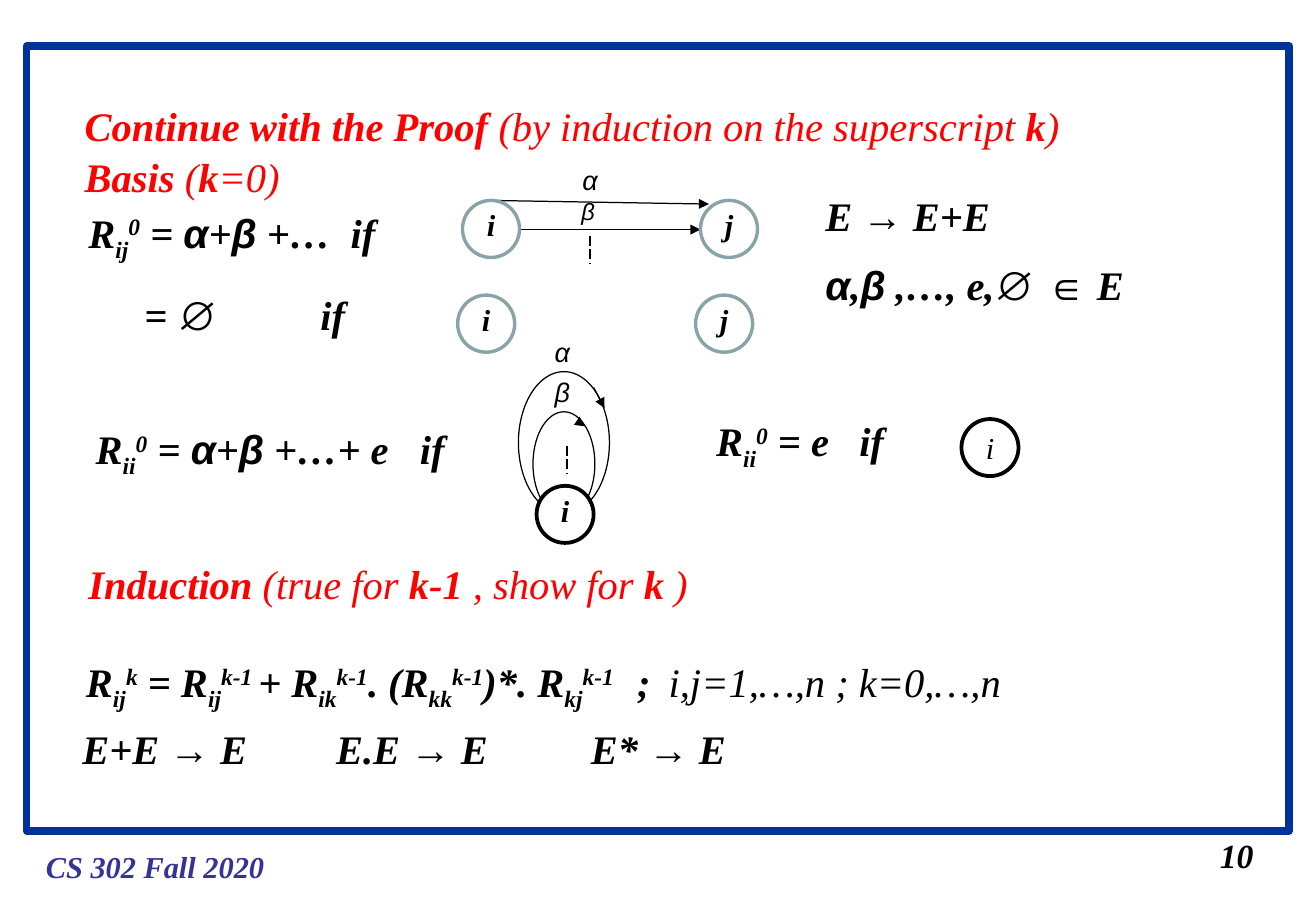
from lxml import etree
from pptx import Presentation
from pptx.dml.color import RGBColor
from pptx.enum.dml import MSO_LINE
from pptx.enum.shapes import MSO_CONNECTOR, MSO_SHAPE
from pptx.enum.text import MSO_ANCHOR, PP_ALIGN
from pptx.oxml.ns import qn
from pptx.util import Inches, Pt

RECT, OVAL = MSO_SHAPE.RECTANGLE, MSO_SHAPE.OVAL
STRAIGHT, DASH = MSO_CONNECTOR.STRAIGHT, MSO_LINE.LONG_DASH
CENTER, MIDDLE = PP_ALIGN.CENTER, MSO_ANCHOR.MIDDLE
BLACK = RGBColor(0x00, 0x00, 0x00)
WHITE = RGBColor(0xFF, 0xFF, 0xFF)
RED = RGBColor(0xFF, 0x00, 0x00)
NAVY = RGBColor(0x00, 0x33, 0x99)
INDIGO = RGBColor(0x33, 0x33, 0x99)
GRAY = RGBColor(0x89, 0xA4, 0xA7)
SUB, SUP = {"baseline": "-25000"}, {"baseline": "30000"}
ARIAL, LIGHT = {"name": "Arial"}, {"bold": False}
ALPHA, BETA, ARROW = ("α", ARIAL), ("β", ARIAL), ("→", ARIAL)
NODE = 0.47


def power(base, low, high):
    return [base, (low, SUB), (high, SUP)]


class ProofSlide:
    """Draw the elements of the proof in one style on one slide."""

    def __init__(self, slide):
        self.shapes = slide.shapes
        self.style = {"name": "Times New Roman", "size": Pt(24), "bold": True, "italic": True}

    def add_runs(self, paragraph, runs, color=BLACK, **changes):
        for item in runs:
            words, own = (item, {}) if isinstance(item, str) else item
            run = paragraph.add_run()
            run.text = words
            run.font.color.rgb = color
            for key, value in {**self.style, **changes, **own}.items():
                if key == "baseline":
                    run._r.get_or_add_rPr().set(key, value)
                else:
                    setattr(run.font, key, value)

    def text(self, left, top, width, height, runs, color=BLACK, spacing=None, tabs=(), **changes):
        box = self.shapes.add_textbox(Inches(left), Inches(top), Inches(width), Inches(height))
        box.text_frame.word_wrap = True
        paragraph = box.text_frame.paragraphs[0]
        paragraph.line_spacing = spacing
        if tabs:
            stops = etree.SubElement(paragraph._p.get_or_add_pPr(), qn("a:tabLst"))
            for stop in tabs:
                etree.SubElement(stops, qn("a:tab"), pos=str(Inches(stop)), algn="l")
        self.add_runs(paragraph, runs, color, **changes)

    def outline(self, kind, left, top, width, height, color, weight, fill=None):
        shape = self.shapes.add_shape(
            kind, Inches(left), Inches(top), Inches(width), Inches(height))
        shape.shadow.inherit = False
        if fill is None:
            shape.fill.background()
        else:
            shape.fill.solid()
            shape.fill.fore_color.rgb = fill
        shape.line.color.rgb = color
        shape.line.width = Pt(weight)
        return shape

    def node(self, left, top, label, color=GRAY, weight=2, lift=0.07, **changes):
        frame = self.outline(OVAL, left, top, NODE, NODE, color, weight, WHITE).text_frame
        margins = {"margin_left": 0, "margin_right": 0, "margin_top": 0,
                   "margin_bottom": Inches(lift), "vertical_anchor": MIDDLE, "word_wrap": False}
        for key, value in margins.items():
            setattr(frame, key, value)
        frame.paragraphs[0].alignment = CENTER
        self.add_runs(frame.paragraphs[0], [label], size=Pt(18), **changes)

    def line(self, x1, y1, x2, y2, dashed=False):
        link = self.shapes.add_connector(
            STRAIGHT, Inches(x1), Inches(y1), Inches(x2), Inches(y2))
        link.line.color.rgb = BLACK
        link.line.width = Pt(0.75)
        if dashed:
            link.line.dash_style = DASH
        else:
            etree.SubElement(link._element.spPr.get_or_add_ln(), qn("a:tailEnd"), type="triangle")
        etree.SubElement(link._element.spPr, qn("a:effectLst"))

    def symbol(self, left, top, letter, size=16):
        self.text(left, top, 0.4, 0.37, [letter], name="Arial", size=Pt(size), bold=False)


def main():
    deck = Presentation()
    deck.slide_width, deck.slide_height = Inches(10.84), Inches(7.5)
    proof = ProofSlide(deck.slides.add_slide(deck.slide_layouts[6]))

    proof.outline(RECT, 0.22, 0.38, 10.4, 6.46, NAVY, 4.5)
    proof.text(0.28, 6.93, 2.2, 0.4, ["CS 302 Fall 2020"], INDIGO, size=Pt(18))
    proof.text(9.95, 6.82, 0.6, 0.44, ["10"], size=Pt(20))

    proof.text(0.6, 0.58, 8.9, 0.7,
               ["Continue with the Proof ", ("(by induction on the superscript ", LIGHT),
                "k", (")", LIGHT)], RED, spacing=1.5)
    proof.text(0.6, 1.2, 2, 0.5, ["Basis ", ("(", LIGHT), "k", ("=0)", LIGHT)], RED)
    proof.text(0.63, 1.66, 2.96, 0.56,
               power("R", "ij", "0") + [" = ", ALPHA, "+", BETA, " +…\tif"], tabs=[2.16])
    proof.text(1.09, 2.34, 2.69, 0.5, ["= ", ("∅", ARIAL), "\tif"], tabs=[1.45])

    proof.line(4.04, 1.65, 5.84, 1.68)
    proof.line(4.28, 1.89, 5.77, 1.89)
    for left, top in ((3.81, 1.65), (3.77, 2.43)):
        proof.node(left, top, "i")
        proof.node(left + 1.96, top, "j")
    proof.symbol(4.7, 1.3, "α")
    proof.symbol(4.69, 1.57, "β", 14)
    proof.line(4.86, 1.94, 4.86, 2.17, dashed=True)

    proof.text(0.69, 3.44, 3.46, 0.56,
               power("R", "ii", "0") + [" = ", ALPHA, "+", BETA, " +…+ e\tif"], tabs=[2.67])
    proof.text(5.8, 3.38, 2, 0.56, power("R", "ii", "0") + [" = e\tif"], tabs=[1.18])
    proof.node(7.92, 3.45, "i", BLACK, 2.25, lift=0, bold=False)

    proof.symbol(4.47, 2.71, "α")
    proof.line(4.67, 3.67, 4.67, 3.9, dashed=True)
    proof.outline(OVAL, 4.27, 3.06, 0.75, 1.17, BLACK, 0.75)
    proof.outline(OVAL, 4.39, 3.39, 0.51, 0.86, BLACK, 0.75)
    proof.node(4.42, 4, "i", BLACK, 2.25)
    proof.symbol(4.47, 3.04, "β")
    proof.line(4.89, 3.19, 4.98, 3.36)
    proof.line(4.79, 3.49, 4.82, 3.51)

    proof.text(6.7, 1.52, 1.7, 0.5, ["E ", ARROW, " E+E"])
    proof.text(6.7, 2.09, 3.15, 0.5,
               [ALPHA, ",", BETA, " ,…, e,", ("∅ ∈", ARIAL), " E"])

    proof.text(0.63, 4.55, 5.4, 0.5,
               ["Induction ", ("(true for ", LIGHT), "k-1", (" , show for ", LIGHT),
                "k", (" )", LIGHT)], RED)
    formula = (power("R", "ij", "k") + power(" = R", "ij", "k-1 ") + power("+ R", "ik", "k-1")
               + power(". (R", "kk", "k-1") + power(")*. R", "kj", "k-1")
               + ["\t;\t", ("i,j=1,…,n ; k=0,…,n", LIGHT)])
    proof.text(0.61, 5.13, 8.21, 0.79, formula, spacing=1.5, tabs=[4.54, 4.8])
    for left, operation in ((0.58, "E+E "), (2.67, "E.E "), (4.77, "E* ")):
        proof.text(left, 5.91, 1.7, 0.5, [operation, ARROW, " E"])

    deck.save("out.pptx")


if __name__ == "__main__":
    main()
